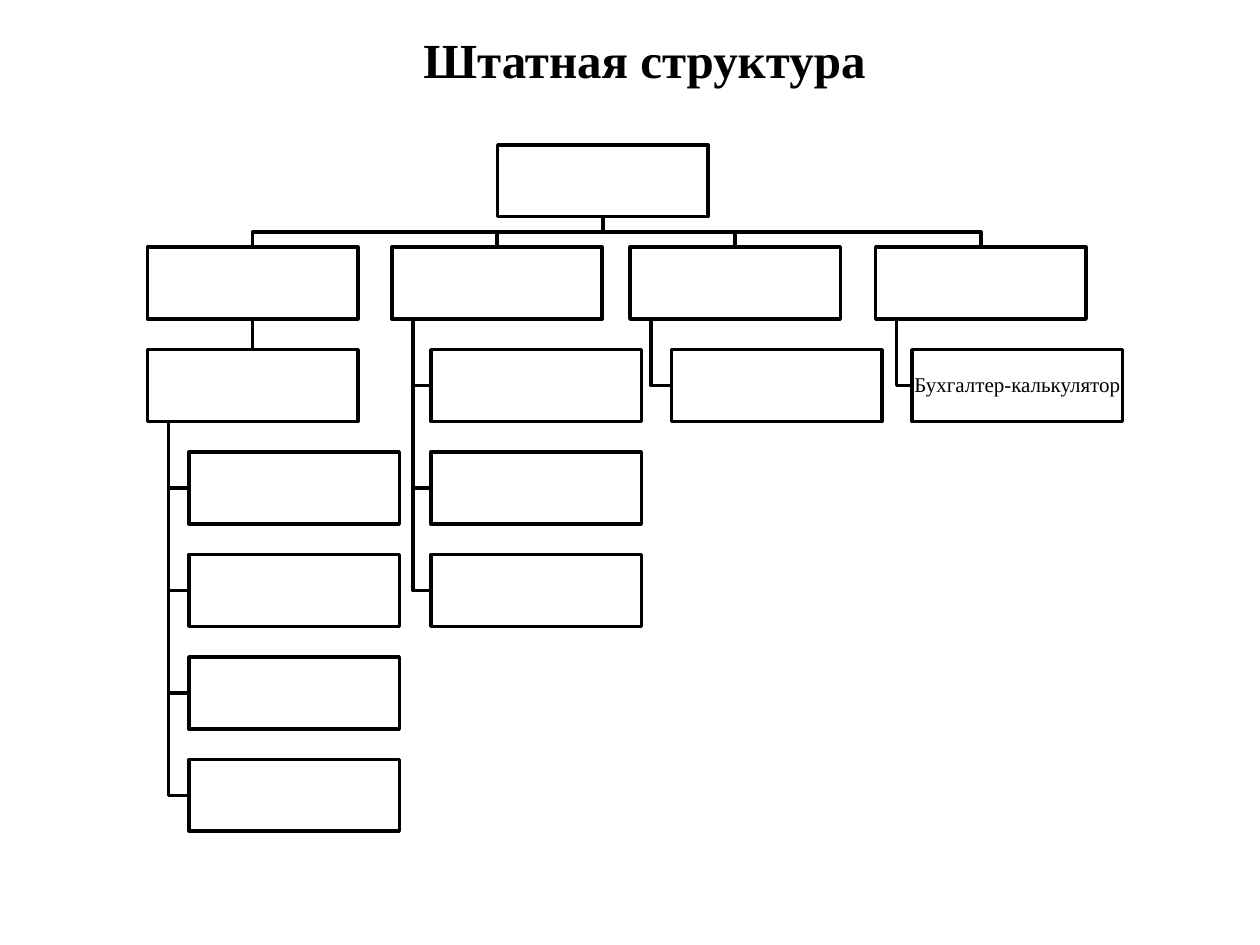
from lxml.etree import SubElement
from pptx import Presentation
from pptx.dml.color import RGBColor
from pptx.enum.shapes import MSO_CONNECTOR, MSO_SHAPE
from pptx.enum.text import MSO_ANCHOR, MSO_AUTO_SIZE, PP_ALIGN
from pptx.oxml.ns import qn
from pptx.util import Inches, Pt

COLORS = {"ink": "000000", "paper": "FFFFFF"}
FONT = "Times New Roman"

# Horizontal lengths are percent of the slide's width, vertical ones of its height.
BOX_WIDTH, BOX_HEIGHT = 16.7, 7.6
FIRST_ROW, ROW_STEP = 15.33, 10.84
TRUNK_SHARE = 0.1  # a trunk leaves its box at a tenth of the box's width

DIRECTOR_LEFT = 39.5
DEPUTY_LEFT = 11.7
# Left of the head, row of the head, left of the staff, staff texts
DEPARTMENTS = [
    (DEPUTY_LEFT, 2, 15, ["", "", "", ""]),
    (31.1, 1, 34.2, ["", "", ""]),
    (50, 1, 53.3, [""]),
    (69.5, 1, 72.4, ["Бухгалтер-калькулятор"]),
]


class OrgChart:
    def __init__(self, deck):
        self.width, self.height = deck.slide_width, deck.slide_height
        self.page = deck.slides.add_slide(deck.slide_layouts[5])

    def x(self, percent):
        return round(self.width * percent / 100)

    def y(self, percent):
        return round(self.height * percent / 100)

    def row_top(self, row):
        return FIRST_ROW + ROW_STEP * row

    def color(self, name):
        return RGBColor.from_string(COLORS[name])

    def outline(self, shape):
        shape.line.color.rgb = self.color("ink")
        shape.line.width = Pt(2)

    def add_text(self, frame, text, size, bold=False):
        para = frame.paragraphs[0]
        para.alignment = PP_ALIGN.CENTER
        span = para.add_run()
        span.text = text
        span.font.name, span.font.size, span.font.bold = FONT, Pt(size), bold
        span.font.color.rgb = self.color("ink")
        return para

    def title(self, text, left, top, width, height):
        box = self.page.shapes.title
        box.left, box.top = self.x(left), self.y(top)
        box.width, box.height = self.x(width), self.y(height)
        frame = box.text_frame
        frame.word_wrap = False
        frame.auto_size = MSO_AUTO_SIZE.SHAPE_TO_FIT_TEXT
        self.add_text(frame, text, 28, bold=True)

    def box(self, left, row, text=""):
        box = self.page.shapes.add_shape(
            MSO_SHAPE.RECTANGLE, self.x(left), self.y(self.row_top(row)),
            self.x(BOX_WIDTH), self.y(BOX_HEIGHT))
        box.shadow.inherit = False
        box.fill.solid()
        box.fill.fore_color.rgb = self.color("paper")
        self.outline(box)
        if text:
            frame = box.text_frame
            frame.word_wrap = True
            frame.vertical_anchor = MSO_ANCHOR.MIDDLE
            frame.margin_left = frame.margin_right = Inches(0.01)
            frame.margin_top = frame.margin_bottom = Inches(0.01)
            para = self.add_text(frame, text, 12)
            para.line_spacing = 0.9
        return box

    def elbow(self, *points):
        start, *others = [(self.x(left), self.y(top)) for left, top in points]
        builder = self.page.shapes.build_freeform(*start)
        builder.add_line_segments(others, close=False)
        line = builder.convert_to_shape()
        line.shadow.inherit = False
        line.fill.background()
        self.outline(line)

    def branch(self, parent_left, child_left):
        """Line from the director down to the top of a second-row box."""
        start, end = parent_left + BOX_WIDTH / 2, child_left + BOX_WIDTH / 2
        top, bottom = self.row_top(0) + BOX_HEIGHT, self.row_top(1)
        middle = (top + bottom) / 2
        self.elbow((start, top), (start, middle), (end, middle), (end, bottom))

    def hang(self, head_left, head_row, staff_left, staff_row):
        """Line from the foot of a head's box to the left side of a staff box."""
        trunk = head_left + BOX_WIDTH * TRUNK_SHARE
        middle = self.row_top(staff_row) + BOX_HEIGHT / 2
        self.elbow((trunk, self.row_top(head_row) + BOX_HEIGHT),
                   (trunk, middle), (staff_left, middle))

    def join(self, upper, lower):
        line = self.page.shapes.add_connector(MSO_CONNECTOR.STRAIGHT, 0, 0, 0, 0)
        line.begin_connect(upper, 2)
        line.end_connect(lower, 0)
        self.outline(line)
        SubElement(line._element.spPr, qn("a:effectLst"))


def main():
    deck = Presentation()
    deck.slide_width, deck.slide_height = Inches(10), Inches(7.5)
    chart = OrgChart(deck)
    chart.title("Штатная структура", 32.4, 2.4, 37.5, 7.6)

    chart.box(DIRECTOR_LEFT, 0)
    deputy = chart.box(DEPUTY_LEFT, 1)
    for head_left, head_row, staff_left, staff in DEPARTMENTS:
        head = chart.box(head_left, head_row)
        if head_row == 2:
            chart.join(deputy, head)
        chart.branch(DIRECTOR_LEFT, head_left)
        for staff_row, text in enumerate(staff, head_row + 1):
            chart.box(staff_left, staff_row, text)
            chart.hang(head_left, head_row, staff_left, staff_row)
    deck.save("out.pptx")


if __name__ == "__main__":
    main()
